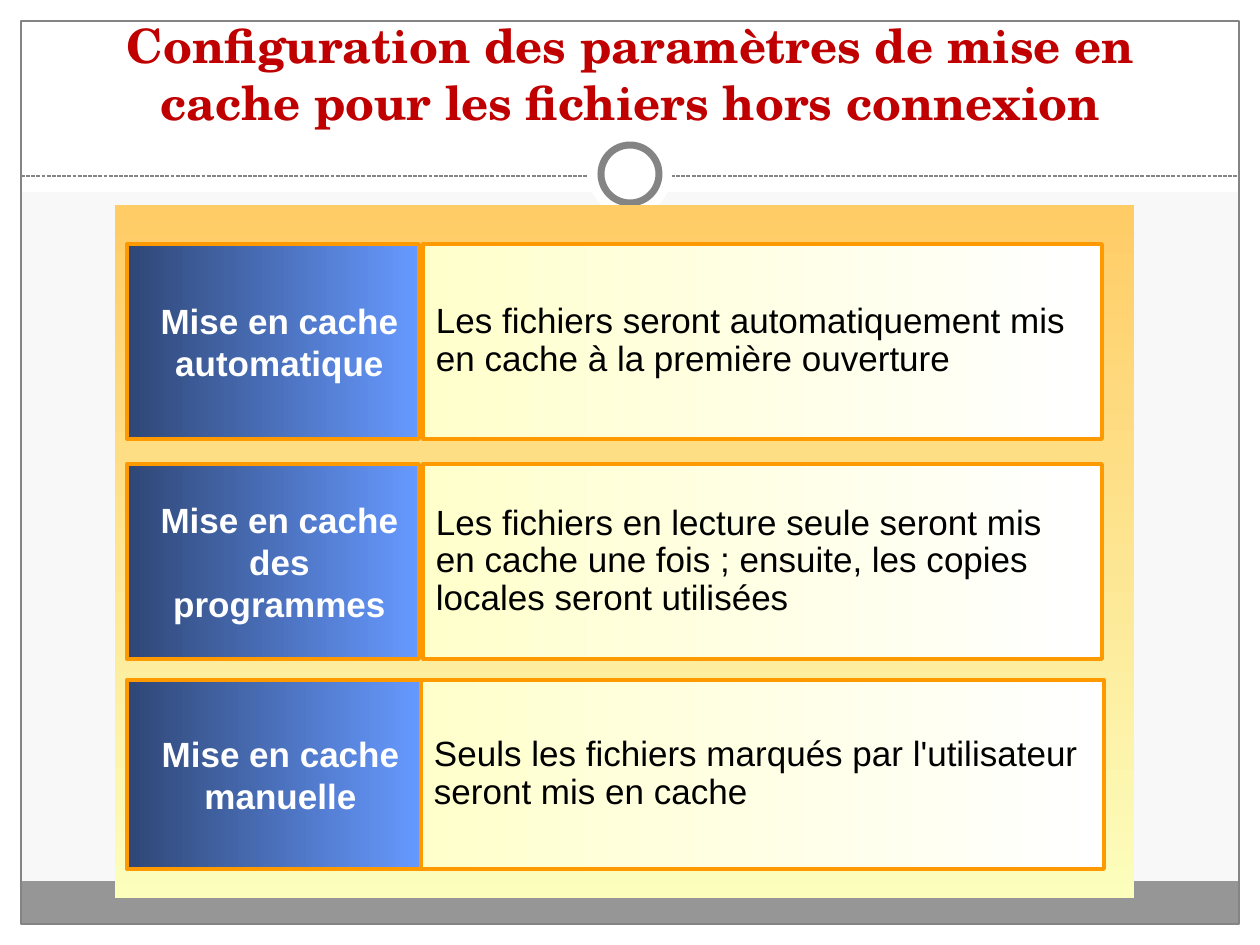
import pptx
import pptx.util
import pptx.dml.color
import pptx.enum.dml
import pptx.enum.shapes
import pptx.enum.text
import pptx.oxml.ns
from lxml import etree

PX = 914400 / 126
COLORS = {
    "background": "F8F8F8", "white": "FFFFFF", "black": "000000",
    "band": "969696", "rule": "848484", "title": "C00000",
    "panel_top": "FFCC66", "panel_bottom": "FCFEBC", "border": "FF9900",
    "label_left": "2F4776", "label_right": "6699FF", "detail_left": "FFFFCC",
}
RECTANGLE = pptx.enum.shapes.MSO_SHAPE.RECTANGLE
OVAL = pptx.enum.shapes.MSO_SHAPE.OVAL
ALIGN = pptx.enum.text.PP_ALIGN
ANCHOR = pptx.enum.text.MSO_ANCHOR

# top, height, label width, gap, detail width, label, detail
CACHE_MODES = [
    (39, 195, 292, 4, 679, "Mise en cache automatique",
     "Les fichiers seront automatiquement mis en cache à la première ouverture"),
    (259, 195, 292, 4, 679, "Mise en cache des programmes",
     "Les fichiers en lecture seule seront mis en cache une fois ; "
     "ensuite, les copies locales seront utilisées"),
    (475, 189, 294, 0, 683, "Mise en cache manuelle",
     "Seuls les fichiers marqués par l'utilisateur seront mis en cache"),
]


def emu(px):
    return pptx.util.Emu(round(px * PX))


def rgb(name):
    return pptx.dml.color.RGBColor.from_string(COLORS[name])


def add_block(slide, box, fill=None, line=None, weight=0.75, kind=RECTANGLE,
              angle=0):
    """Add a shape; fill is a colour name, a pair for a gradient, or None."""
    block = slide.shapes.add_shape(kind, *map(emu, box))
    block.shadow.inherit = False
    if fill is None:
        block.fill.background()
    elif isinstance(fill, tuple):
        block.fill.gradient()
        block.fill.gradient_angle = angle
        for stop, name in zip(block.fill.gradient_stops, fill):
            stop.color.rgb = rgb(name)
    else:
        block.fill.solid()
        block.fill.fore_color.rgb = rgb(fill)
    if line:
        block.line.color.rgb = rgb(line)
        block.line.width = pptx.util.Pt(weight)
    else:
        block.line.fill.background()
    return block


def write(block, text, size, color, font="Arial", bold=False,
          align=ALIGN.CENTER, anchor=ANCHOR.MIDDLE, insets=(13, 6, 13, 6)):
    frame = block.text_frame
    frame.word_wrap = True
    frame.vertical_anchor = anchor
    (frame.margin_left, frame.margin_top,
     frame.margin_right, frame.margin_bottom) = map(emu, insets)
    paragraph = frame.paragraphs[0]
    paragraph.alignment = align
    run = paragraph.add_run()
    run.text = text
    run.font.name = font
    run.font.size = pptx.util.Pt(size)
    run.font.bold = bold
    run.font.color.rgb = rgb(color)
    return paragraph


def add_frame(slide, box):
    """Add the white margins, grey footer band, border, rule and ring."""
    left, top, width, height = box
    margin, header = 21, 192
    right, bottom = left + width, top + height
    for edge in [(left, bottom - margin, width, margin),
                 (left, top, width, header),
                 (left, top, margin, height),
                 (right - margin, top, margin, height)]:
        add_block(slide, edge, "white")
    inner_width = width - 2 * margin
    add_block(slide, (left + margin, bottom - 64, inner_width, 43), "band")
    add_block(slide, (left + margin, top + margin, inner_width,
                      height - 2 * margin), line="rule")

    rule = slide.shapes.add_connector(
        pptx.enum.shapes.MSO_CONNECTOR.STRAIGHT,
        emu(left + margin), emu(top + 176), emu(right - margin), emu(top + 176))
    rule.line.color.rgb = rgb("rule")
    rule.line.width = pptx.util.Pt(0.75)
    rule.line.dash_style = pptx.enum.dml.MSO_LINE.SQUARE_DOT
    etree.SubElement(rule._element.spPr, pptx.oxml.ns.qn("a:effectLst"))

    center_x, center_y = left + width // 2, top + 174
    for diameter, line in [(84, None), (58, "rule")]:
        add_block(slide, (center_x - diameter // 2, center_y - diameter // 2,
                          diameter, diameter), "white", line, 4, OVAL)


def add_title(slide, box):
    title = slide.shapes.add_textbox(*map(emu, box))
    write(title, "Configuration des paramètres de mise en cache "
          "pour les fichiers hors connexion", 27, "title",
          "TeX Gyre Schola", True, anchor=ANCHOR.BOTTOM)


def add_cache_mode(slide, box, label_width, gap, label_text, detail_text):
    left, top, width, height = box
    label = add_block(slide, (left, top, label_width, height),
                      ("label_left", "label_right"), "border", 2.25)
    write(label, label_text, 20, "white", bold=True, insets=(19, 6, 6, 6))
    offset = label_width + gap
    detail = add_block(slide, (left + offset, top, width - offset, height),
                       ("detail_left", "white"), "border", 2.25)
    paragraph = write(detail, detail_text, 20, "black", align=ALIGN.LEFT,
                      insets=(13, 0, 13, 0))
    paragraph.line_spacing = 0.9


def add_cache_panel(slide, box):
    left, top = box[:2]
    add_block(slide, box, ("panel_top", "panel_bottom"), angle=270)
    for row_top, height, label_width, gap, detail_width, label, detail in CACHE_MODES:
        row = (left + 12, top + row_top, label_width + gap + detail_width, height)
        add_cache_mode(slide, row, label_width, gap, label, detail)


def main():
    deck = pptx.Presentation()
    deck.slide_width, deck.slide_height = emu(1260), emu(945)
    slide = deck.slides.add_slide(deck.slide_layouts[6])
    slide.background.fill.solid()
    slide.background.fill.fore_color.rgb = rgb("background")
    add_frame(slide, (0, 0, 1260, 945))
    add_title(slide, (42, 31, 1176, 105))
    add_cache_panel(slide, (115, 205, 1019, 693))
    deck.save("out.pptx")


if __name__ == "__main__":
    main()
